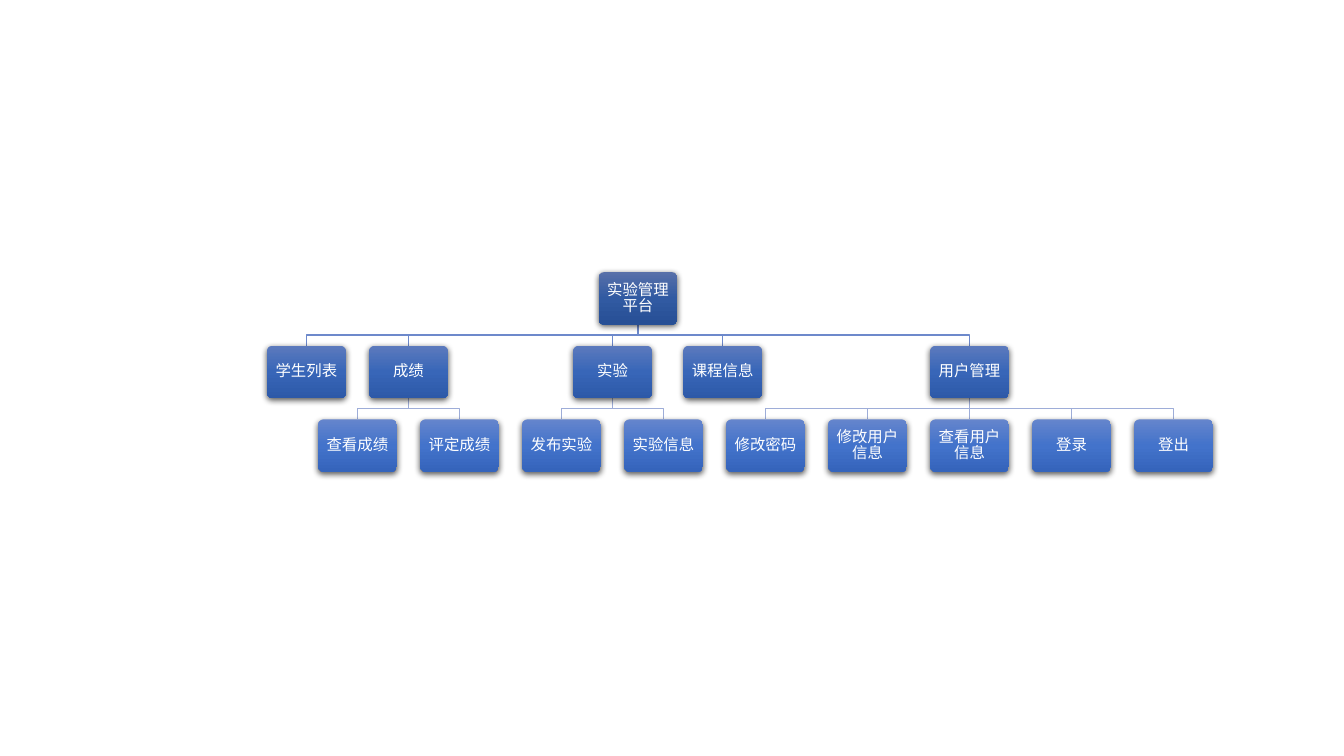
"""Build the module tree of the lab management platform on one slide."""
import copy
from dataclasses import dataclass

import pptx
import pptx.dml.color
import pptx.enum.shapes
import pptx.enum.text
import pptx.oxml
import pptx.oxml.ns
import pptx.util

Inches = pptx.util.Inches
Pt = pptx.util.Pt

HUES = {
    "root": ("5870A9", "315AA2", "274F95"),
    "group": ("5C7ABD", "3866B8", "2D59A8"),
    "leaf": ("6585CC", "4373CB", "3564BB"),
    "trunk": "6D89CB",
    "twig": "9EADD8",
    "text": "FFFFFF",
}
RANKS = ("root", "group", "leaf")
LINKS = ("trunk", "twig")
LEFT, TOP = 3.04, 2.7
PITCH, STEP = 8.6 / 8.5, 0.73
WIDE, HIGH = 0.78, 0.52
SHADE = (
    '<a:outerShdw xmlns:a="http://schemas.openxmlformats.org/drawingml/2006/main" '
    'blurRad="57150" dist="19050" dir="5400000" algn="ctr" rotWithShape="0">'
    '<a:srgbClr val="000000"><a:alpha val="63000"/></a:srgbClr></a:outerShdw>'
)


@dataclass(frozen=True)
class Node:
    """A box of the tree: its label, its column and its children."""

    label: str
    col: float
    kids: tuple["Node", ...] = ()

    @property
    def mid(self) -> float:
        """Return the centre of the box in inches."""
        return LEFT + self.col * PITCH


TREE = Node("实验管理平台", 3.25, (
    Node("学生列表", 0),
    Node("成绩", 1, (Node("查看成绩", 0.5), Node("评定成绩", 1.5))),
    Node("实验", 3, (Node("发布实验", 2.5), Node("实验信息", 3.5))),
    Node("课程信息", 4.08),
    Node("用户管理", 6.5, (
        Node("修改密码", 4.5),
        Node("修改用户信息", 5.5),
        Node("查看用户信息", 6.5),
        Node("登录", 7.5),
        Node("登出", 8.5),
    )),
))


def tint(hue: str) -> pptx.dml.color.RGBColor:
    """Turn a hex string into a colour."""
    return pptx.dml.color.RGBColor.from_string(hue)


def shade(shape, hues: tuple[str, ...]) -> None:
    """Fill a box from top to bottom and give it a soft shadow."""
    fill = shape.fill
    fill.gradient()
    fill.gradient_angle = 270
    ends = shape.element.spPr.find(".//" + pptx.oxml.ns.qn("a:gsLst"))
    ends.insert(1, copy.deepcopy(ends[0]))
    for rank, (stop, hue) in enumerate(zip(fill.gradient_stops, hues)):
        stop.position = rank / 2
        stop.color.rgb = tint(hue)
    shape.line.fill.background()
    shape.shadow.inherit = False
    glow = shape.element.spPr.find(pptx.oxml.ns.qn("a:effectLst"))
    glow.append(pptx.oxml.parse_xml(SHADE))


def write(shape, label: str) -> None:
    """Write a centred label in a box."""
    frame = shape.text_frame
    frame.word_wrap = True
    frame.vertical_anchor = pptx.enum.text.MSO_ANCHOR.MIDDLE
    frame.margin_left = frame.margin_right = Inches(0.05)
    frame.margin_top = frame.margin_bottom = Inches(0.05)
    para = frame.paragraphs[0]
    para.alignment = pptx.enum.text.PP_ALIGN.CENTER
    para.line_spacing = 0.9
    run = para.add_run()
    run.text = label
    run.font.name = "Calibri"
    run.font.size = Pt(11)
    run.font.color.rgb = tint(HUES["text"])


def box(shapes, node: Node, row: int) -> None:
    """Draw one node."""
    shape = shapes.add_shape(
        pptx.enum.shapes.MSO_SHAPE.ROUNDED_RECTANGLE,
        Inches(node.mid - WIDE / 2), Inches(TOP + row * STEP),
        Inches(WIDE), Inches(HIGH),
    )
    shape.adjustments[0] = 0.1
    shade(shape, HUES[RANKS[row]])
    write(shape, node.label)


def link(shapes, node: Node, kid: Node, row: int) -> None:
    """Draw the line from a node to its child."""
    start, end = Inches(node.mid), Inches(kid.mid)
    high = Inches(TOP + row * STEP + HIGH)
    low = Inches(TOP + (row + 1) * STEP)
    if start == end:
        kind = pptx.enum.shapes.MSO_CONNECTOR.STRAIGHT
        line = shapes.add_connector(kind, start, high, end, low)
        line.element.spPr.append(pptx.oxml.parse_xml(
            '<a:effectLst xmlns:a="http://schemas.openxmlformats.org/drawingml/2006/main"/>'
        ))
    else:
        bend = (high + low) // 2
        path = shapes.build_freeform(start, high)
        path.add_line_segments([(start, bend), (end, bend), (end, low)], close=False)
        line = path.convert_to_shape()
        line.fill.background()
        line.shadow.inherit = False
    line.line.color.rgb = tint(HUES[LINKS[row]])
    line.line.width = Pt(1)


def grow(shapes, node: Node, row: int = 0) -> None:
    """Draw a node over its links, then its children."""
    for kid in node.kids:
        link(shapes, node, kid, row)
    box(shapes, node, row)
    for kid in node.kids:
        grow(shapes, kid, row + 1)


deck = pptx.Presentation()
deck.slide_width, deck.slide_height = Inches(13.33), Inches(7.5)
slide = deck.slides.add_slide(deck.slide_layouts[6])
grow(slide.shapes, TREE)
deck.save("out.pptx")
